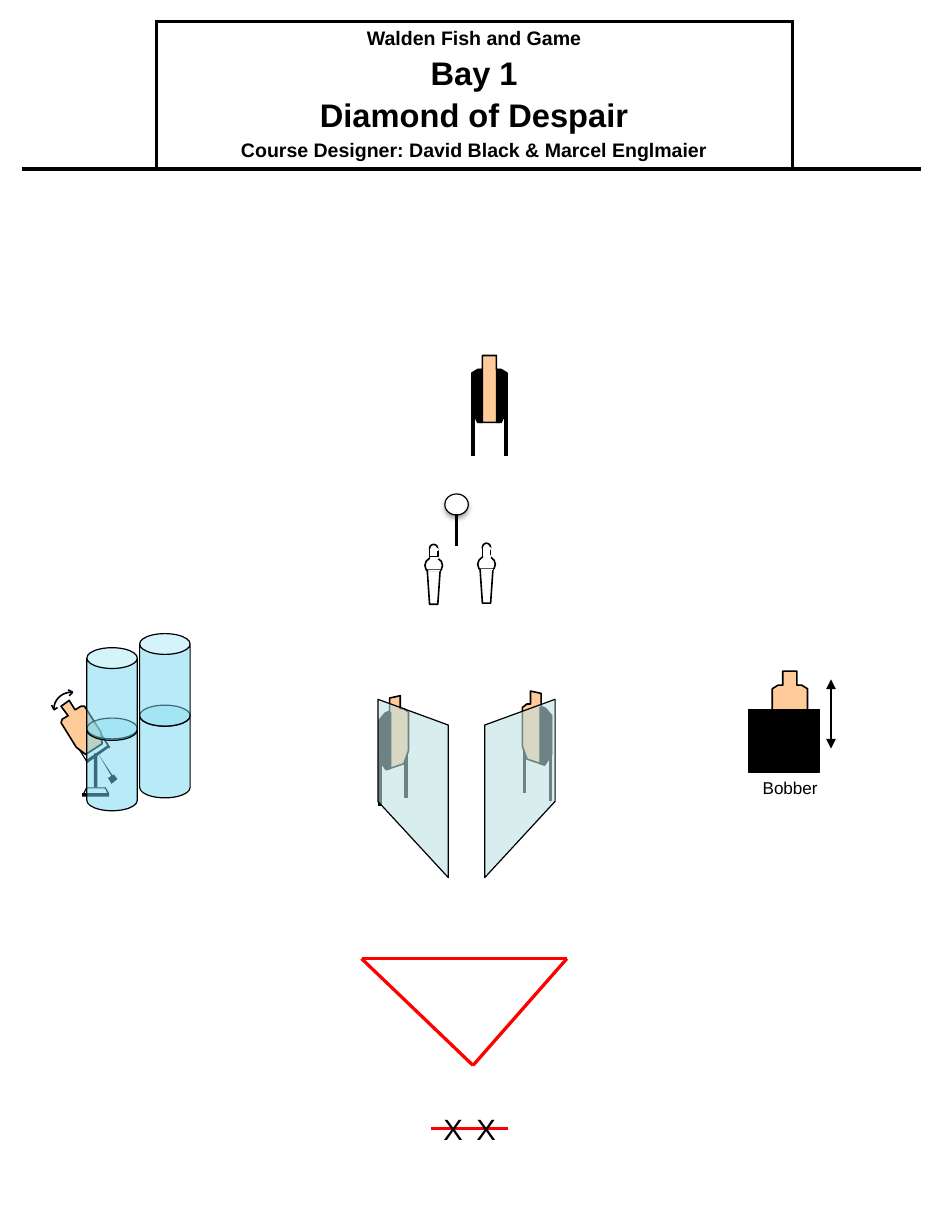
import math

import lxml.etree as etree
import pptx
import pptx.dml.color
import pptx.enum.shapes
import pptx.enum.text
import pptx.oxml.ns
import pptx.util

Inches, Pt = pptx.util.Inches, pptx.util.Pt
KIND = pptx.enum.shapes.MSO_SHAPE
ALIGN = pptx.enum.text.PP_ALIGN
BLACK, WHITE, RED, TAN = "000000", "FFFFFF", "FF0000", "FFCC99"


def color(text):
    return pptx.dml.color.RGBColor.from_string(text)


def child(node, tag, **attrs):
    names = {key: str(val) for key, val in attrs.items()}
    return etree.SubElement(node, pptx.oxml.ns.qn("a:" + tag), names)


def write(para, text, size=12, bold=False, align=ALIGN.LEFT, before=0):
    para.alignment = align
    if before:
        para.space_before = Pt(before)
    run = para.add_run()
    run.text = text
    run.font.name, run.font.size, run.font.bold = "Arial", Pt(size), bold
    run.font.color.rgb = color(BLACK)


def shift(points, dx, dy):
    return [(x + dx, y + dy) for x, y in points]


class Sheet:
    """Holds the slide and its default line style."""

    def __init__(self, slide, ink=BLACK, wide=1):
        self.slide, self.ink, self.wide = slide, ink, wide
        self.shapes = slide.shapes

    def paint(self, shape, fill, line, wide, alpha):
        shape.shadow.inherit = False
        if fill:
            shape.fill.solid()
            shape.fill.fore_color.rgb = color(fill)
            if alpha:
                tint = shape._element.spPr.find(".//" + pptx.oxml.ns.qn("a:srgbClr"))
                child(tint, "alpha", val=alpha * 1000)
        else:
            shape.fill.background()
        if line:
            shape.line.color.rgb = color(line)
            shape.line.width = Pt(self.wide if wide is None else wide)
        else:
            shape.line.fill.background()
        return shape

    def shape(self, kind, x, y, w, h, fill=WHITE, line=BLACK, wide=None, alpha=None):
        item = self.shapes.add_shape(kind, Inches(x), Inches(y), Inches(w), Inches(h))
        return self.paint(item, fill, line, wide, alpha)

    def poly(self, points, fill=BLACK, line=None, wide=None, alpha=None, close=True):
        spots = [(Inches(x), Inches(y)) for x, y in points]
        form = self.shapes.build_freeform(*spots[0], scale=1.0)
        form.add_line_segments(spots[1:], close=close)
        return self.paint(form.convert_to_shape(), fill, line, wide, alpha)

    def line(self, start, end, ink=None, wide=None, heads=False):
        ends = [Inches(val) for val in (*start, *end)]
        item = self.shapes.add_connector(pptx.enum.shapes.MSO_CONNECTOR.STRAIGHT, *ends)
        item.line.color.rgb = color(ink or self.ink)
        item.line.width = Pt(wide or self.wide)
        if heads:
            for tag in ("headEnd", "tailEnd"):
                child(item.line._get_or_add_ln(), tag, type="triangle")
        child(item._element.spPr, "effectLst")

    def label(self, text, x, y, w, h, size, wrap=True):
        box = self.shapes.add_textbox(Inches(x), Inches(y), Inches(w), Inches(h))
        box.text_frame.word_wrap = wrap
        box.text_frame.auto_size = pptx.enum.text.MSO_AUTO_SIZE.SHAPE_TO_FIT_TEXT
        write(box.text_frame.paragraphs[0], text, size=size)

    def edges(self, cell, sides):
        props = cell._tc.get_or_add_tcPr()
        for spot, side in enumerate("LRTB"):
            edge = child(props, "ln" + side, w=Pt(2.25))
            if side in sides:
                child(child(edge, "solidFill"), "srgbClr", val=BLACK)
            else:
                child(edge, "noFill")
            props.insert(spot, edge)

    def header(self, rows):
        frame = self.shapes.add_table(1, 3, Inches(0.19), Inches(0.18), Inches(7.66), Inches(1.26))
        table = frame.table
        table.first_row = table.horz_banding = False
        for col, wide in zip(table.columns, (1.14, 5.42, 1.1)):
            col.width = Inches(wide)
        for cell, sides in zip(table.rows[0].cells, ("RB", "LRTB", "LB")):
            cell.fill.solid()
            cell.fill.fore_color.rgb = color(WHITE)
            self.edges(cell, sides)
        cell = table.cell(0, 1)
        cell.vertical_anchor = pptx.enum.text.MSO_ANCHOR.MIDDLE
        cell.margin_left = cell.margin_right = Inches(0.05)
        cell.margin_top = cell.margin_bottom = Inches(0.05)
        for spot, (text, size) in enumerate(rows):
            para = cell.text_frame.add_paragraph() if spot else cell.text_frame.paragraphs[0]
            write(para, text, size=size, bold=True, align=ALIGN.CENTER, before=3.6 if spot else 0)

    def popper(self, x, y):
        self.shape(KIND.OVAL, x + 0.04, y, 0.07, 0.07)
        self.shape(KIND.OVAL, x, y + 0.11, 0.15, 0.14)
        leg = [(0.02, 0.22), (0.13, 0.22), (0.11, 0.51), (0.04, 0.51)]
        self.poly(shift(leg, x, y), WHITE, BLACK)
        self.shape(KIND.RECTANGLE, x + 0.04, y + 0.04, 0.07, 0.07)
        self.shape(KIND.RECTANGLE, x + 0.03, y + 0.22, 0.1, 0.01, line=None)
        for drop in (0.11, 0.04):
            self.shape(KIND.RECTANGLE, x + 0.05, y + drop, 0.06, 0.01, line=WHITE)

    def angled(self, place):
        """Angled target on two legs; place maps each point."""
        for x, y in ((3.24, 6.44), (3.46, 6.37)):
            self.line(place(x, y), place(x, y + 0.43), wide=2.25)
        body = [(3.32, 5.95), (3.41, 5.93), (3.41, 6.04), (3.44, 6.04), (3.48, 6.07), (3.48, 6.4),
                (3.44, 6.51), (3.29, 6.56), (3.23, 6.47), (3.23, 6.14), (3.28, 6.08), (3.32, 6.06)]
        side = [(3.23, 6.47), (3.29, 6.56), (3.33, 6.55), (3.33, 6.07), (3.29, 6.08), (3.23, 6.14)]
        self.poly([place(*spot) for spot in body], TAN, BLACK)
        self.poly([place(*spot) for spot in side], BLACK, BLACK, 0)

    def target(self, x, y):
        """Target seen from the front."""
        half = [(0.22, 0), (0.22, 0.12), (0.26, 0.12), (0.31, 0.15), (0.31, 0.46), (0.26, 0.57)]
        body = half + [(0.32 - a, b) for a, b in reversed(half)]
        self.poly(shift(body, x, y), TAN, BLACK)


def main():
    deck = pptx.Presentation()
    deck.slide_width, deck.slide_height = Inches(8), Inches(10.5)
    sheet = Sheet(deck.slides.add_slide(deck.slide_layouts[6]))

    # Title block
    sheet.header([("Walden Fish and Game", 12), ("Bay 1", 20), ("Diamond of Despair", 20),
                  ("Course Designer: David Black & Marcel Englmaier", 12)])

    # Shooting area and start line
    left, right, tip = (3.08, 8.17), (4.83, 8.17), (4.03, 9.08)
    for start, end in ((right, left), (tip, left), (tip, right), ((4.33, 9.62), (3.67, 9.62))):
        sheet.line(start, end, RED, 2)
    for x in (3.68, 3.96):
        sheet.label("X", x, 9.42, 0.31, 0.4, 18)

    # Poppers
    sheet.popper(3.62, 4.64)
    sheet.popper(4.07, 4.63)

    # Angled targets behind see-through walls
    sheet.angled(lambda x, y: (x, y))
    sheet.angled(lambda x, y: (7.93 - x, y - 0.04))
    wall = [(4.73, 6.83), (4.13, 7.48), (4.13, 6.18), (4.73, 5.96)]
    for points in (wall, [(7.95 - x, y) for x, y in wall]):
        sheet.poly(points, "BBE0E3", BLACK, 0.75, 58)

    # Swinging target: arms, body, weight and base
    sheet.poly([(0.73, 6.06), (0.93, 6.38), (0.94, 6.37), (0.74, 6.05)])
    sheet.poly([(0.54, 6.18), (0.74, 6.5), (0.75, 6.5), (0.55, 6.17)])
    sheet.poly([(0.59, 5.97), (0.52, 6.02), (0.58, 6.1), (0.53, 6.13), (0.52, 6.16), (0.65, 6.37),
                (0.73, 6.43), (0.87, 6.34), (0.86, 6.24), (0.72, 6.02), (0.69, 6.02), (0.64, 6.05)],
               TAN, BLACK)
    for points in ([(0.93, 6.37), (0.75, 6.5), (0.73, 6.48), (0.92, 6.35)],
                   [(0.84, 6.43), (0.97, 6.65), (0.98, 6.64)],
                   [(1, 6.64), (0.95, 6.68), (0.92, 6.63), (0.97, 6.6)],
                   [(0.74, 6.71), (0.72, 6.77), (0.71, 6.76), (0.74, 6.7)],
                   [(0.89, 6.71), (0.92, 6.77), (0.93, 6.76), (0.9, 6.71)]):
        sheet.poly(points)
    for spot in ((0.7, 6.76, 0.23, 0.03), (0.8, 6.42, 0.03, 0.29), (0.74, 6.71, 0.16, 0.01)):
        sheet.shape(KIND.RECTANGLE, *spot, fill=BLACK, line=None)

    # Swing arrow
    turns = [math.radians(step * 10) for step in range(10)]
    arc = [(0.61 - 0.15 * math.sin(turn), 6.04 - 0.14 * math.cos(turn)) for turn in turns]
    sheet.poly(arc, None, BLACK, close=False)
    for start, ends in (((0.62, 5.9), ((0.59, 5.93), (0.58, 5.88))),
                        ((0.46, 6.05), ((0.49, 6.03), (0.44, 6.01)))):
        for end in ends:
            sheet.line(start, end)

    # Barrels
    for x, y in ((0.74, 6.12), (0.74, 5.52), (1.19, 6.01), (1.19, 5.4)):
        can = sheet.shape(KIND.CAN, x, y, 0.43, 0.79, "73D9F1", BLACK, 0.75, 50)
        can.adjustments[0] = 0.413

    # Back target
    for x in (4.03, 4.31):
        sheet.line((x, 3.45), (x, 3.89), wide=2.25)
    sheet.target(4.01, 3.03)
    side = [(4.23, 3.15), (4.23, 3.6), (4.26, 3.6), (4.32, 3.49), (4.32, 3.19), (4.26, 3.15)]
    for points in (side, [(8.34 - x, y) for x, y in side]):
        sheet.poly(points, BLACK, BLACK, 0)

    # Steel plate
    plate = sheet.shape(KIND.OVAL, 3.79, 4.21, 0.2, 0.18, wide=0.75)
    glow = plate._element.spPr.find(pptx.oxml.ns.qn("a:effectLst"))
    cast = child(glow, "outerShdw", blurRad=Pt(3.1), dist=Pt(1.8), dir=5400000, rotWithShape=0)
    child(child(cast, "srgbClr", val=BLACK), "alpha", val=35000)
    sheet.line((3.89, 4.65), (3.89, 4.38), wide=2)

    # Bobber
    sheet.target(6.57, 5.72)
    sheet.shape(KIND.RECTANGLE, 6.38, 6.05, 0.6, 0.53, BLACK, wide=0.75)
    sheet.line((7.08, 5.79), (7.08, 6.38), wide=1.5, heads=True)
    sheet.label("Bobber", 6.4, 6.58, 0.7, 0.29, 10.5, wrap=False)

    deck.save("out.pptx")


if __name__ == "__main__":
    main()
